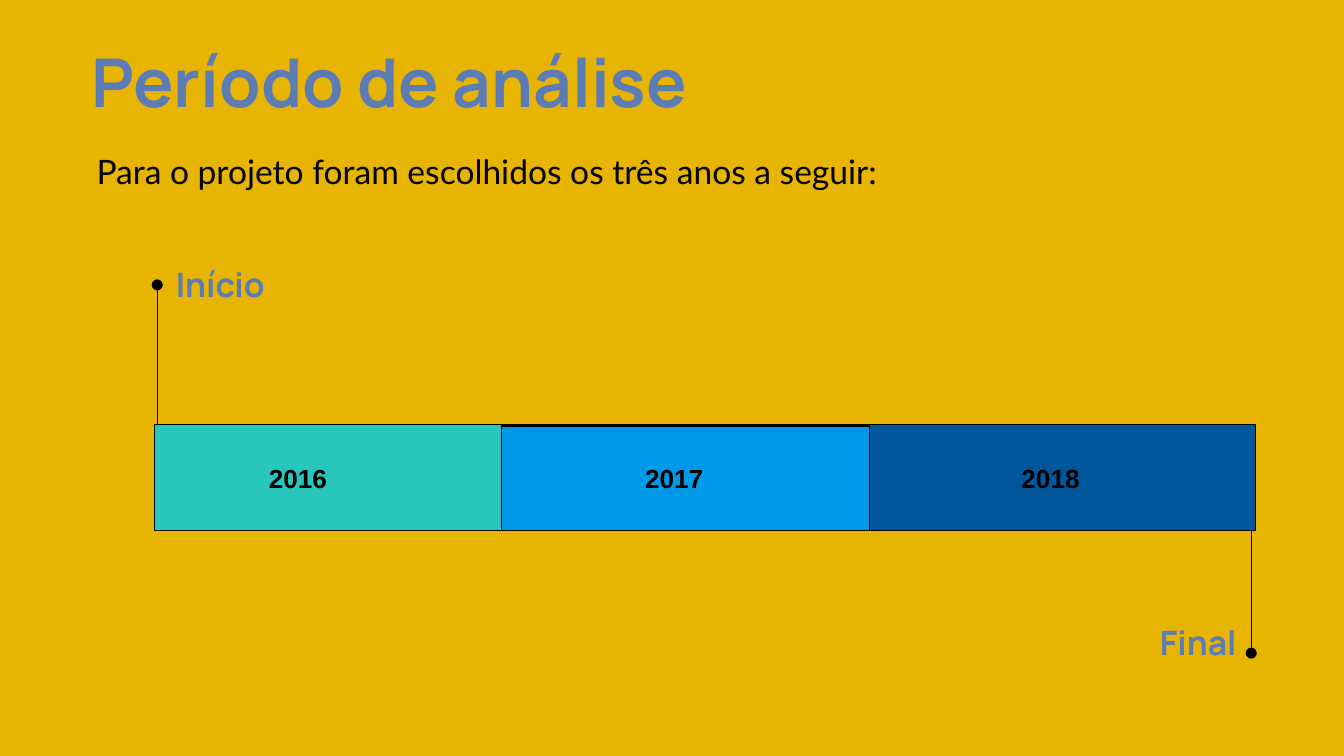
from lxml import etree
from pptx import Presentation
from pptx.dml.color import RGBColor
from pptx.enum.shapes import MSO_CONNECTOR, MSO_SHAPE
from pptx.enum.text import MSO_ANCHOR, PP_ALIGN
from pptx.oxml.ns import qn
from pptx.util import Inches, Pt

LEFT, RIGHT = PP_ALIGN.LEFT, PP_ALIGN.RIGHT
TOP, MIDDLE = MSO_ANCHOR.TOP, MSO_ANCHOR.MIDDLE
RECTANGLE = MSO_SHAPE.RECTANGLE
STRAIGHT = MSO_CONNECTOR.STRAIGHT

BACKGROUND = RGBColor(0xE7, 0xB4, 0x01)
HEADING = RGBColor(0x5C, 0x7C, 0xB5)
BLACK = RGBColor(0x00, 0x00, 0x00)
TEAL = RGBColor(0x27, 0xC7, 0xBD)
SKY = RGBColor(0x00, 0x99, 0xE8)
NAVY = RGBColor(0x01, 0x57, 0x9B)

FIRST_YEAR_X = 2.0
YEAR_STEP = 2.8
INSET = 0.1


def write(shape, text, font, size, color, bold, align=LEFT, anchor=TOP, left_inset=INSET):
    frame = shape.text_frame
    frame.word_wrap = True
    frame.vertical_anchor = anchor
    frame.margin_left = Inches(left_inset)
    frame.margin_top = frame.margin_right = frame.margin_bottom = Inches(INSET)
    paragraph = frame.paragraphs[0]
    paragraph.text = text
    paragraph.alignment = align
    paragraph.font.name = font
    paragraph.font.size = Pt(size)
    paragraph.font.bold = bold
    paragraph.font.color.rgb = color
    return paragraph


def add_text(slide, box, text, font, size, color, bold=True, align=LEFT, anchor=TOP):
    textbox = slide.shapes.add_textbox(*map(Inches, box))
    return write(textbox, text, font, size, color, bold, align, anchor)


def add_marker(slide, x, bar_y, dot_y):
    """Draw a line from the bar to a round end."""
    marker = slide.shapes.add_connector(
        STRAIGHT, Inches(x), Inches(bar_y), Inches(x), Inches(dot_y))
    marker.line.color.rgb = BLACK
    marker.line.width = Pt(0.75)
    etree.SubElement(marker.line._get_or_add_ln(), qn("a:tailEnd"), type="oval")
    etree.SubElement(marker._element.spPr, qn("a:effectLst"))


def add_year(slide, box, year, fill):
    """Draw a bar segment; year labels are evenly spaced across the bar."""
    segment = slide.shapes.add_shape(RECTANGLE, *map(Inches, box))
    segment.shadow.inherit = False
    segment.fill.solid()
    segment.fill.fore_color.rgb = fill
    segment.line.color.rgb = BLACK
    segment.line.width = Pt(0.75)
    label_x = FIRST_YEAR_X + (year - 2016) * YEAR_STEP
    write(segment, str(year), "Arial", 14, BLACK, True,
          anchor=MIDDLE, left_inset=label_x - box[0])


def main():
    # Widescreen 16:9 page
    prs = Presentation()
    prs.slide_width = Inches(10)
    prs.slide_height = prs.slide_width * 9 // 16
    slide = prs.slides.add_slide(prs.slide_layouts[6])
    slide.background.fill.solid()
    slide.background.fill.fore_color.rgb = BACKGROUND

    # Title and introduction
    add_text(slide, (0.58, 0.2, 9.32, 0.7), "Período de análise", "Manrope", 36, HEADING)
    intro = add_text(slide, (0.62, 0.98, 9.06, 0.5),
                     "Para o projeto foram escolhidos os três anos a seguir:",
                     "Lato", 18, BLACK, bold=False)
    intro.line_spacing = 1.15
    intro.space_after = Pt(16)

    # Start and end markers
    add_marker(slide, 1.17, 3.17, 2.12)
    add_text(slide, (1.21, 1.9, 2.53, 0.43), "Início", "Manrope", 18, HEADING, anchor=MIDDLE)
    add_marker(slide, 9.31, 3.95, 4.86)
    add_text(slide, (6.73, 4.56, 2.57, 0.43), "Final", "Manrope", 18, HEADING,
             align=RIGHT, anchor=MIDDLE)

    # Timeline bar: the middle year overlaps its neighbours
    add_year(slide, (1.15, 3.16, 4.11, 0.79), 2016, TEAL)
    add_year(slide, (5.23, 3.16, 4.11, 0.79), 2018, NAVY)
    add_year(slide, (3.73, 3.17, 2.74, 0.78), 2017, SKY)

    prs.save("out.pptx")


if __name__ == "__main__":
    main()
